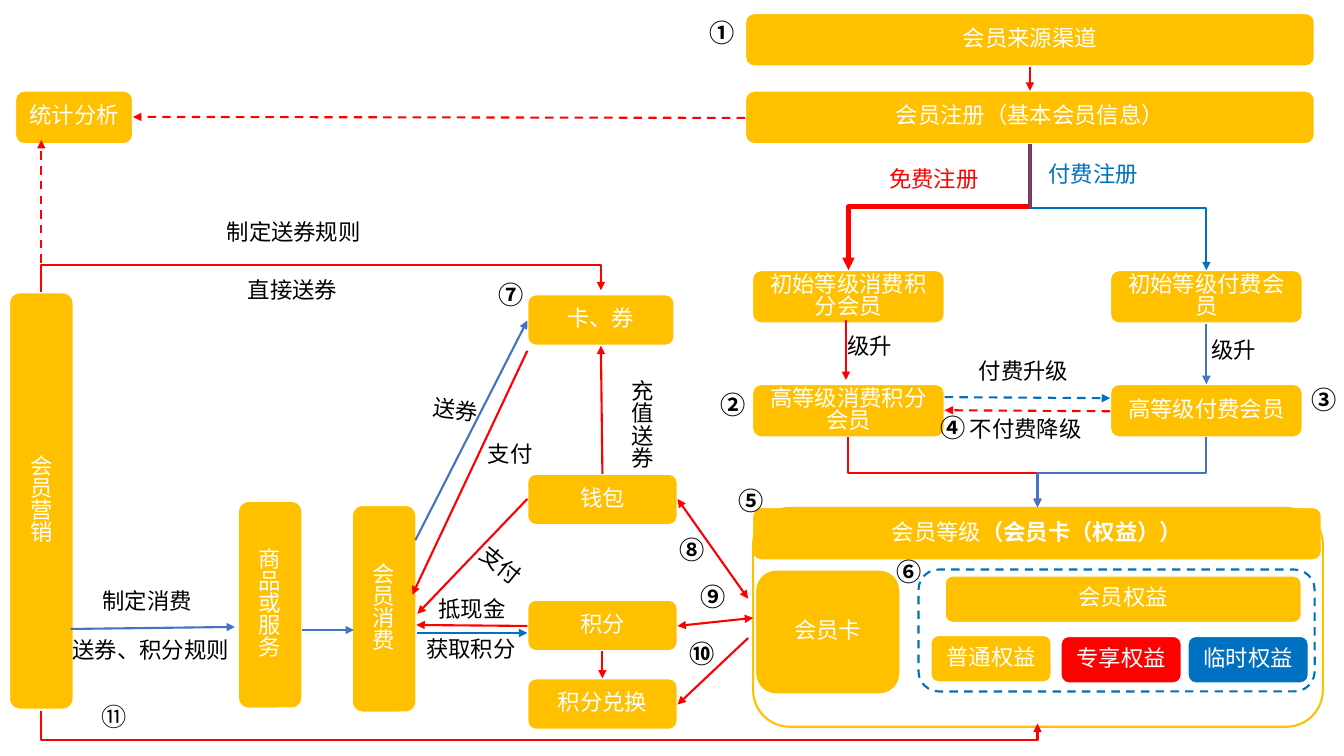
from lxml.etree import SubElement
from pptx import Presentation
from pptx.dml.color import RGBColor
from pptx.enum.dml import MSO_LINE
from pptx.enum.shapes import MSO_CONNECTOR, MSO_SHAPE
from pptx.enum.text import MSO_ANCHOR, PP_ALIGN
from pptx.oxml.ns import qn
from pptx.util import Inches, Pt

FONT = "Noto Sans CJK SC"
LINE_SPACING = 0.82
GOLD, RED, BLUE, STEEL = "FFC000", "FF0000", "0070C0", "4472C4"
WHITE, BLACK = "FFFFFF", "000000"

# Box sizes: width, height
BANNER, MEMBER, RIGHT = (5.65, 0.53), (1.91, 0.53), (1.2, 0.47)
PILLAR, ASSET = (0.64, 2.06), (1.49, 0.51)
# Shared columns and rows
BANNER_X, ASSET_X, POINTS_X, PAID_X = 7.39, 5.23, 7.46, 11.01
REGISTER_Y, START_Y, HIGH_Y, LEVEL_Y = 0.9, 2.68, 3.81, 5.03
BANNER_MID = BANNER_X + BANNER[0] / 2
POINTS_MID = POINTS_X + MEMBER[0] / 2
PAID_MID = PAID_X + MEMBER[0] / 2
ASSET_MID = ASSET_X + ASSET[0] / 2
ASSET_END = ASSET_X + ASSET[0]
MARKETING_MID, LEVEL_MID = 0.41, 10.29

# Text, left, top, size, fill
BOXES = [
    ("会员营销", 0.09, 2.9, (0.64, 4.14), GOLD),
    ("统计分析", 0.15, REGISTER_Y, (1.17, 0.53), GOLD),
    ("商品或服务", 2.36, 4.97, PILLAR, GOLD),
    ("会员消费", 3.49, 5.01, PILLAR, GOLD),
    ("卡、券", ASSET_X, 2.92, (1.46, 0.51), GOLD),
    ("钱包", ASSET_X, 4.7, ASSET, GOLD),
    ("积分", ASSET_X, 5.95, ASSET, GOLD),
    ("积分兑换", ASSET_X, 6.73, ASSET, GOLD),
    ("会员来源渠道", BANNER_X, 0.13, BANNER, GOLD),
    ("会员注册（基本会员信息）", BANNER_X, REGISTER_Y, BANNER, GOLD),
    ("初始等级消费积分会员", POINTS_X, START_Y, MEMBER, GOLD),
    ("初始等级付费会员", PAID_X, START_Y, MEMBER, GOLD),
    ("高等级消费积分会员", POINTS_X, HIGH_Y, MEMBER, GOLD),
    ("高等级付费会员", PAID_X, HIGH_Y, MEMBER, GOLD),
    ("会员等级|（会员卡（权益））", POINTS_X, LEVEL_Y, BANNER, GOLD),
    ("会员卡", 7.49, 5.65, (1.44, 1.24), GOLD),
    ("会员权益", 9.37, 5.71, (3.54, 0.47), GOLD),
    ("普通权益", 9.23, 6.3, RIGHT, GOLD),
    ("专享权益", 10.52, 6.31, RIGHT, RED),
    ("临时权益", 11.78, 6.31, RIGHT, BLUE),
]
# Left, top, size, line colour, dashed
FRAMES = [
    (9.11, 5.65, (3.93, 1.21), BLUE, True),
    (7.47, 5.04, (5.65, 2.17), GOLD, False),
]
# Start, end, colour, style: "dash" for dashed, "both" for two heads
ARROWS = [
    ((MARKETING_MID, 2.9), (MARKETING_MID, 1.39), RED, "dash"),
    ((BANNER_X, 1.17), (1.32, 1.16), RED, "dash"),
    ((9.37, 3.94), (PAID_X, 3.95), BLUE, "dash"),
    ((PAID_X, 4.08), (9.37, 4.07), RED, "dash"),
    ((BANNER_MID, 0.66), (BANNER_MID, REGISTER_Y), RED, ""),
    ((8.39, 3.17), (8.39, 3.77), RED, ""),
    ((PAID_MID, 3.21), (PAID_MID, HIGH_Y), STEEL, ""),
    ((ASSET_MID, 4.7), (5.96, 3.43), RED, ""),
    ((ASSET_MID, 6.46), (ASSET_MID, 6.73), RED, ""),
    ((ASSET_X, 4.95), (4.14, 6.09), RED, ""),
    ((ASSET_X, 6.21), (4.13, 6.2), RED, ""),
    ((4.14, 6.28), (ASSET_X, 6.28), BLUE, ""),
    ((ASSET_X, 3.48), (4.09, 5.9), RED, ""),
    ((4.12, 5.36), (ASSET_X, 3.18), STEEL, ""),
    ((0.7, 6.24), (2.33, 6.22), STEEL, ""),
    ((3, 6.25), (3.51, 6.25), STEEL, ""),
    ((ASSET_END, 4.95), (7.42, 5.94), RED, "both"),
    ((ASSET_END, 6.21), (7.47, 6.13), RED, "both"),
    ((7.42, 6.33), (ASSET_END, 6.99), RED, ""),
]
# Start, end, height of the crossbar, colour, width
ELBOWS = [
    ((BANNER_MID, 1.43), (POINTS_MID, START_Y), 2.05, RED, 3),
    ((BANNER_MID, 1.43), (PAID_MID, START_Y), 2.06, BLUE, 1.5),
    ((POINTS_MID, 4.34), (LEVEL_MID, LEVEL_Y), 4.69, RED, 1.5),
    ((PAID_MID, 4.34), (LEVEL_MID, LEVEL_Y), 4.69, STEEL, 1.5),
    ((MARKETING_MID, 7.05), (LEVEL_MID, 7.18), 7.34, RED, 1.5),
    ((MARKETING_MID, 2.9), (5.96, 2.88), 2.63, RED, 1.5),
]
# Text, left, top, width, colour, rotation
LABELS = [
    ("制定消费", 0.92, 5.82, 1.1, BLACK, 0),
    ("送券、积分规则", 0.62, 6.31, 1.77, BLACK, 0),
    ("制定送券规则", 2.15, 2.16, 1.65, BLACK, 0),
    ("直接送券", 2.36, 2.74, 1.1, BLACK, 0),
    ("抵现金", 4.25, 5.9, 1.09, BLACK, 0),
    ("获取积分", 4.13, 6.3, 1.14, BLACK, 0),
    ("支付", 4.61, 5.49, 0.74, BLACK, 39.3),
    ("支付", 4.74, 4.36, 0.74, BLACK, 0),
    ("送券", 4.19, 3.93, 0.74, BLACK, 7.1),
    ("免费注册", 8.72, 1.64, 1.1, RED, 0),
    ("付费注册", 10.3, 1.59, 1.1, BLUE, 0),
    ("付费升级", 9.61, 3.54, 1.12, BLACK, 0),
    ("不付费降级", 9.52, 4.12, 1.35, BLACK, 0),
]
# Text, left, top, width, height
VERTICAL_LABELS = [
    ("升级", 8.41, 3.22, 0.45, 0.56),
    ("升级", 12.02, 3.26, 0.45, 0.56),
    ("充值送券", 6.03, 3.67, 0.47, 1.11),
]
# Left and top of each step number, in order
STEPS = [(6.94, 0.18), (7.05, 3.87), (12.91, 3.82), (9.23, 4.09), (7.23, 4.82),
         (8.79, 5.52), (4.85, 2.78), (6.64, 5.31), (6.85, 5.77), (6.74, 6.34),
         (0.91, 6.96)]


def rgb(value):
    """Turn a hex string into a colour."""
    return RGBColor.from_string(value)


def write(shape, text, color, size=16, bold=False, align=PP_ALIGN.LEFT):
    """Put text into a shape; the part after a bar is bold."""
    shape.text_frame.word_wrap = True
    para = shape.text_frame.paragraphs[0]
    para.alignment, para.line_spacing = align, LINE_SPACING
    for index, part in enumerate(text.split("|")):
        span = para.add_run()
        span.text = part
        span.font.name, span.font.size = FONT, Pt(size)
        span.font.bold = bold or index > 0
        span.font.color.rgb = rgb(color)
        SubElement(span.font._element, qn("a:ea"), typeface=FONT)


def add_box(left, top, size, line, fill=None, dashed=False):
    """Add a rounded box, filled or as a bare frame."""
    box = page.shapes.add_shape(MSO_SHAPE.ROUNDED_RECTANGLE,
                                *map(Inches, (left, top, *size)))
    box.shadow.inherit = False
    if fill:
        box.fill.solid()
        box.fill.fore_color.rgb = rgb(fill)
    else:
        box.fill.background()
    box.line.color.rgb, box.line.width = rgb(line), Pt(1.5)
    if dashed:
        box.line.dash_style = MSO_LINE.DASH
    return box


def add_label(text, left, top, width, height, color=BLACK, **style):
    """Add a text box."""
    label = page.shapes.add_textbox(*map(Inches, (left, top, width, height)))
    write(label, text, color, **style)
    return label


def add_arrow(start, end, color, style="", width=1.5, kind=MSO_CONNECTOR.STRAIGHT):
    """Add a connector with a head at its end, or at both ends."""
    arrow = page.shapes.add_connector(kind, *map(Inches, (*start, *end)))
    arrow.line.color.rgb, arrow.line.width = rgb(color), Pt(width)
    if style == "dash":
        arrow.line.dash_style = MSO_LINE.DASH
    line = arrow.line._get_or_add_ln()
    for tag in ("a:headEnd", "a:tailEnd") if style == "both" else ("a:tailEnd",):
        SubElement(line, qn(tag), type="triangle")
    SubElement(arrow._element.spPr, qn("a:effectLst"))
    return arrow


def add_elbow(start, end, bar, color, width):
    """Add a down-across-down elbow: a sideways one turned by 90 degrees."""
    (x1, y1), (x2, y2) = start, end
    mid_x, mid_y = (x1 + x2) / 2, (y1 + y2) / 2
    half_x, half_y = (x2 - x1) / 2, (y2 - y1) / 2
    elbow = add_arrow((mid_x - half_y, mid_y + half_x), (mid_x + half_y, mid_y - half_x),
                      color, width=width, kind=MSO_CONNECTOR.ELBOW)
    properties = elbow._element.spPr
    properties.find(qn("a:xfrm")).set("rot", str(90 * 60000))
    share = round((bar - y1) / (y2 - y1) * 100000)
    guides = properties.find(qn("a:prstGeom")).find(qn("a:avLst"))
    SubElement(guides, qn("a:gd"), name="adj1", fmla=f"val {share}")


deck = Presentation()
deck.slide_width, deck.slide_height = Inches(13.33), Inches(7.5)
page = deck.slides.add_slide(deck.slide_layouts[6])

for text, left, top, size, fill in BOXES:
    box = add_box(left, top, size, WHITE, fill)
    box.text_frame.vertical_anchor = MSO_ANCHOR.MIDDLE
    write(box, text, WHITE, align=PP_ALIGN.CENTER)
for left, top, size, line, dashed in FRAMES:
    add_box(left, top, size, line, dashed=dashed)
for arrow in ARROWS:
    add_arrow(*arrow)
for elbow in ELBOWS:
    add_elbow(*elbow)
for text, left, top, width, color, rotation in LABELS:
    add_label(text, left, top, width, 0.37, color).rotation = rotation
for label in VERTICAL_LABELS:
    add_label(*label).text_frame._txBody.bodyPr.set("vert", "eaVert")
for index, (left, top) in enumerate(STEPS):
    last = index == len(STEPS) - 1
    add_label(chr(ord("①") + index), left, top, 0.51 if last else 0.45, 0.4,
              size=18, bold=not last)

deck.save("out.pptx")
